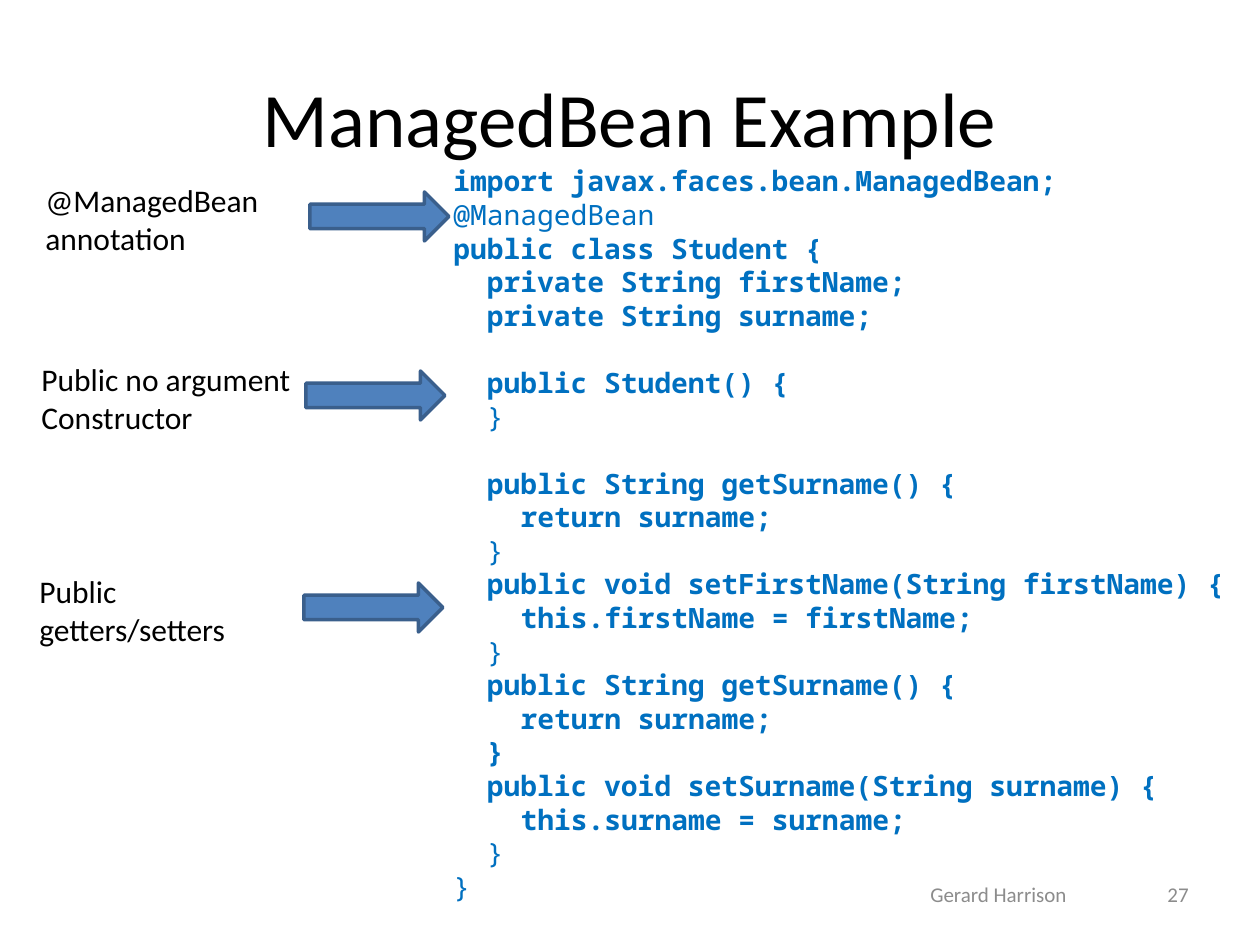
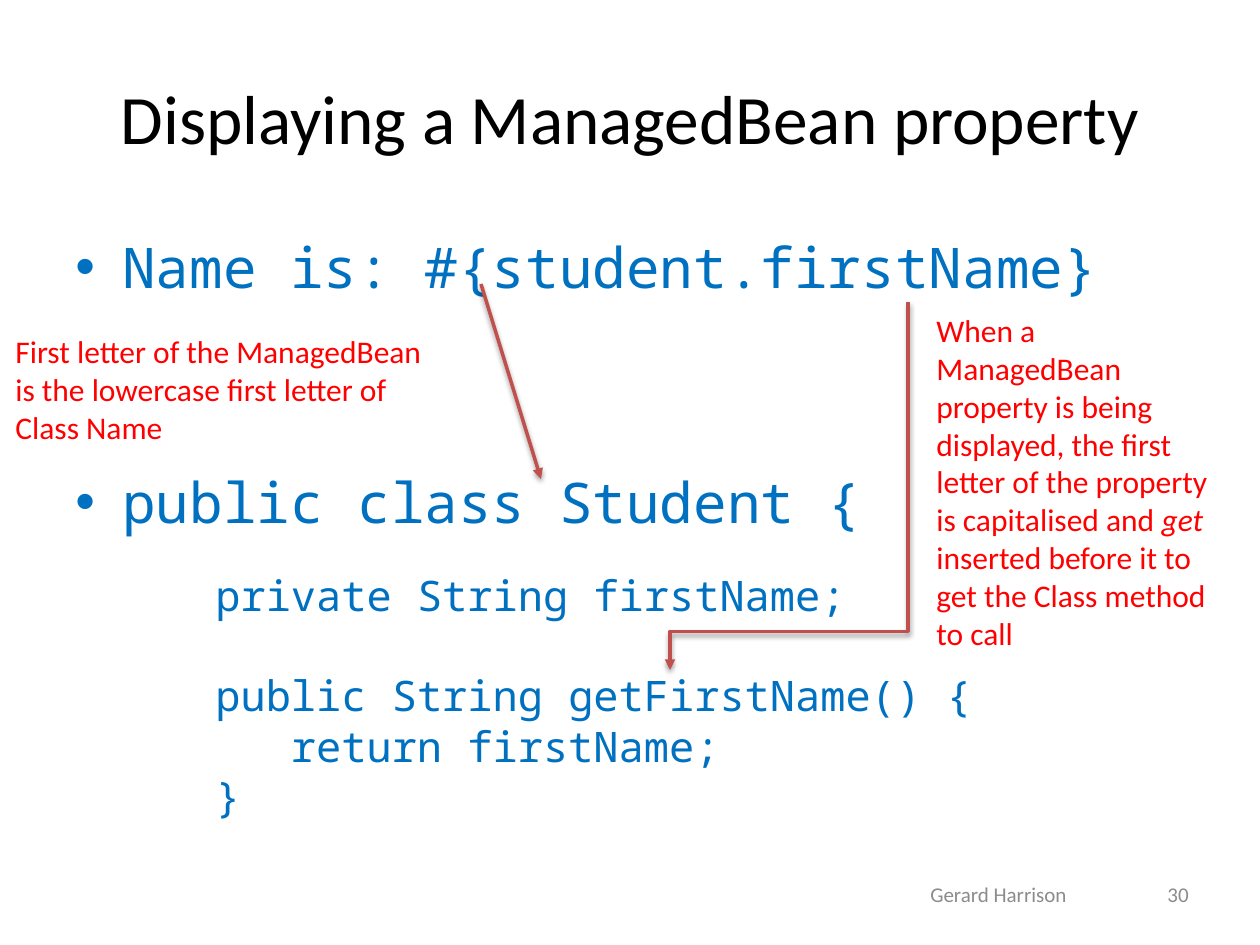
"""Build two slides about writing and displaying a ManagedBean."""
from lxml.etree import SubElement
from pptx import Presentation
from pptx.dml.color import RGBColor
from pptx.enum.shapes import MSO_CONNECTOR, MSO_SHAPE
from pptx.enum.text import MSO_ANCHOR, PP_ALIGN
from pptx.oxml.ns import qn
from pptx.util import Emu, Pt

BLACK = RGBColor(0x00, 0x00, 0x00)
GREY = RGBColor(0x8C, 0x8C, 0x8C)
RED = RGBColor(0xFF, 0x00, 0x00)
CODE_BLUE = RGBColor(0x00, 0x70, 0xC0)
ARROW_FILL = RGBColor(0x4F, 0x81, 0xBD)
ARROW_EDGE = RGBColor(0x3A, 0x5F, 0x8C)
POINTER_RED = RGBColor(0xC0, 0x50, 0x4D)

TEXT_FONT, CODE_FONT = "Calibri", "Noto Sans Mono"
PX_PER_INCH = 126
SLIDE_SIZE = (1260, 945)
TITLE_BOX = (63, 38, 1134, 157)
AUTHOR_BOX = (799, 869, 399, 50)
NUMBER_BOX = (907, 869, 294, 50)
AUTHOR = "Gerard Harrison"
LINE_HEIGHT, CHARACTER_WIDTH = 1.2, 0.6

BEAN_CODE_BOX = (441, 155, 983, 793)
BEAN_CODE = [
    (0, "import javax.faces.bean.ManagedBean;", True, 0),
    (0, "@ManagedBean", False, 0),
    (0, "public class Student {", True, 0),
    (2, "private String firstName;", True, 0),
    (2, "private String surname;", True, 0),
    (2, "public Student() {", True, 1),
    (2, "}", False, 0),
    (2, "public String getSurname() {", True, 1),
    (4, "return surname;", True, 0),
    (2, "}", False, 0),
    (2, "public void setFirstName(String firstName) {", True, 0),
    (4, "this.firstName = firstName;", True, 0),
    (2, "}", False, 0),
    (2, "public String getSurname() {", True, 0),
    (4, "return surname;", True, 0),
    (2, "}", True, 0),
    (2, "public void setSurname(String surname) {", True, 0),
    (4, "this.surname = surname;", True, 0),
    (2, "}", False, 0),
    (0, "}", False, 0),
]
BEAN_LABELS = [
    (33, 175, ["@ManagedBean annotation"]),
    (29, 354, ["Public no argument", "Constructor"]),
    (27, 566, ["Public getters/setters"]),
]
LABEL_SIZE = (278, 89)
ARROW_OFFSET = (277, 17)
ARROW_SIZE = (139, 49)

BULLET_BOX = (63, 221, 1134, 624)
BULLETS = [
    (0, "Name is: #{student.firstName}", False, 0),
    (0, "public class Student {", False, 2),
]
GETTER_CODE_BOX = (203, 559, 883, 267)
GETTER_CODE = [
    (0, "private String firstName;", False, 0),
    (0, "public String getFirstName() {", False, 1),
    (3, "return firstName;", False, 0),
    (0, "}", False, 0),
]
NOTES = [
    ((3, 326, 446, 127), [
        [("First letter of the ManagedBean", False)],
        [("is the lowercase first letter of Class Name", False)],
    ]),
    ((924, 305, 305, 357), [[
        ("When a ManagedBean property is being displayed, the first letter "
         "of the property is capitalised and ", False),
        ("get", True),
        (" inserted before it to get the Class method to call", False),
    ]]),
]
CLASS_POINTER = (481, 284, 541, 479)
GETTER_POINTER = (605, 367, 973, 605)
GETTER_POINTER_BEND = 89500


def px(length):
    return Emu(round(length * 914400 / PX_PER_INCH))


def add_frame(slide, box, anchor=MSO_ANCHOR.TOP):
    frame = slide.shapes.add_textbox(*map(px, box)).text_frame
    frame.word_wrap = True
    frame.vertical_anchor = anchor
    return frame


def next_paragraph(frame, index):
    return frame.add_paragraph() if index else frame.paragraphs[0]


def add_run(paragraph, text, size, color, font=TEXT_FONT, bold=False, italic=False):
    run = paragraph.add_run()
    run.text = text
    run.font.name, run.font.size = font, Pt(size)
    run.font.bold, run.font.italic = bold, italic
    run.font.color.rgb = color


def add_text(slide, box, paragraphs, size, color, align=PP_ALIGN.LEFT,
             anchor=MSO_ANCHOR.TOP):
    frame = add_frame(slide, box, anchor)
    for index, runs in enumerate(paragraphs):
        paragraph = next_paragraph(frame, index)
        paragraph.alignment = align
        for text, italic in runs:
            add_run(paragraph, text, size, color, italic=italic)


def add_bullet(properties):
    properties.set("marL", str(px(47)))
    properties.set("indent", str(-px(47)))
    SubElement(properties, qn("a:buFont"), typeface="Arial")
    SubElement(properties, qn("a:buChar"), char="•")


def add_code(slide, box, lines, size, bulleted=False):
    frame = add_frame(slide, box)
    frame.margin_top = px(6 + round(size * 0.17))
    line_height = size * LINE_HEIGHT
    gap = size * 0.2 if bulleted else 0
    for index, (indent, text, bold, skipped) in enumerate(lines):
        paragraph = next_paragraph(frame, index)
        paragraph.line_spacing = Pt(line_height)
        if index:
            paragraph.space_before = Pt(gap + skipped * (line_height + gap))
        properties = paragraph._p.get_or_add_pPr()
        if bulleted:
            add_bullet(properties)
        elif indent:
            properties.set("marL", str(Pt(indent * size * CHARACTER_WIDTH)))
        add_run(paragraph, text, size, CODE_BLUE, CODE_FONT, bold)


def add_arrow(slide, left, top):
    arrow = slide.shapes.add_shape(
        MSO_SHAPE.RIGHT_ARROW, *map(px, (left, top, *ARROW_SIZE)))
    arrow.shadow.inherit = False
    arrow.fill.solid()
    arrow.fill.fore_color.rgb = ARROW_FILL
    arrow.line.color.rgb = ARROW_EDGE
    arrow.line.width = Pt(2)


def add_pointer(slide, kind, ends):
    pointer = slide.shapes.add_connector(kind, *map(px, ends))
    pointer.line.color.rgb = POINTER_RED
    pointer.line.width = Pt(2)
    properties = pointer._element.spPr
    SubElement(properties.find(qn("a:ln")), qn("a:tailEnd"), type="triangle")
    effects = SubElement(properties, qn("a:effectLst"))
    shadow = SubElement(effects, qn("a:outerShdw"), blurRad=str(Pt(3.1)),
                        dist=str(Pt(1.6)), dir="5400000", rotWithShape="0")
    shade = SubElement(shadow, qn("a:srgbClr"), val=str(BLACK))
    SubElement(shade, qn("a:alpha"), val="38000")
    return properties


def add_elbow_pointer(slide, ends, bend):
    properties = add_pointer(slide, MSO_CONNECTOR.ELBOW, ends)
    properties.find(qn("a:xfrm")).set("rot", "5400000")
    geometry = properties.find(qn("a:prstGeom"))
    adjustments = geometry.find(qn("a:avLst"))
    if adjustments is None:
        adjustments = SubElement(geometry, qn("a:avLst"))
    SubElement(adjustments, qn("a:gd"), name="adj1", fmla=f"val {bend}")


def add_slide(presentation, title, title_size, number):
    slide = presentation.slides.add_slide(presentation.slide_layouts[6])
    for box, text, size, color, align in [
        (TITLE_BOX, title, title_size, BLACK, PP_ALIGN.CENTER),
        (AUTHOR_BOX, AUTHOR, 12, GREY, PP_ALIGN.CENTER),
        (NUMBER_BOX, number, 12, GREY, PP_ALIGN.RIGHT),
    ]:
        add_text(slide, box, [[(text, False)]], size, color, align, MSO_ANCHOR.MIDDLE)
    return slide


def build_example(presentation):
    slide = add_slide(presentation, "ManagedBean Example", 44, "27")
    add_code(slide, BEAN_CODE_BOX, BEAN_CODE, 16)
    for left, top, lines in BEAN_LABELS:
        paragraphs = [[(line, False)] for line in lines]
        add_text(slide, (left, top, *LABEL_SIZE), paragraphs, 18, BLACK)
        add_arrow(slide, left + ARROW_OFFSET[0], top + ARROW_OFFSET[1])


def build_property(presentation):
    slide = add_slide(presentation, "Displaying a ManagedBean property", 39.6, "30")
    add_code(slide, BULLET_BOX, BULLETS, 32, bulleted=True)
    add_pointer(slide, MSO_CONNECTOR.STRAIGHT, CLASS_POINTER)
    add_code(slide, GETTER_CODE_BOX, GETTER_CODE, 24)
    add_elbow_pointer(slide, GETTER_POINTER, GETTER_POINTER_BEND)
    for box, paragraphs in NOTES:
        add_text(slide, box, paragraphs, 18, RED)


def main():
    presentation = Presentation()
    presentation.slide_width, presentation.slide_height = map(px, SLIDE_SIZE)
    build_example(presentation)
    build_property(presentation)
    presentation.save("out.pptx")


if __name__ == "__main__":
    main()
